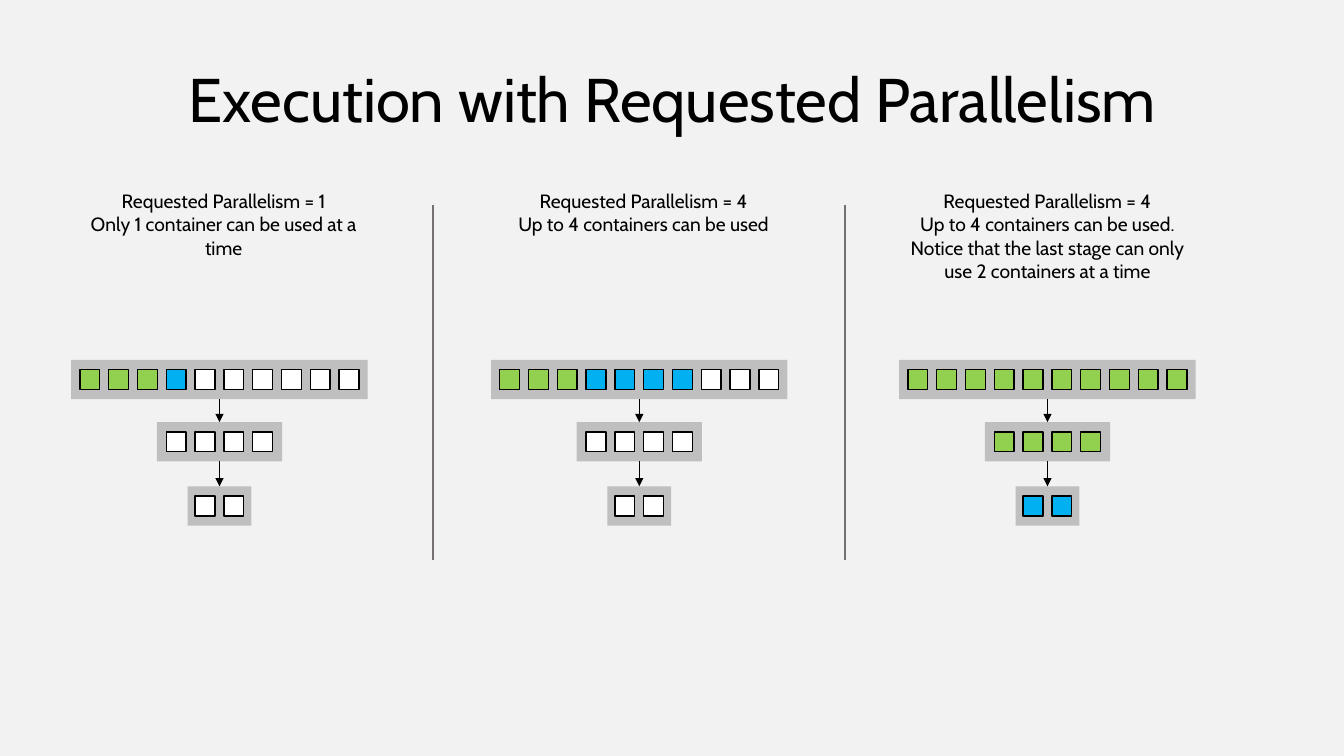
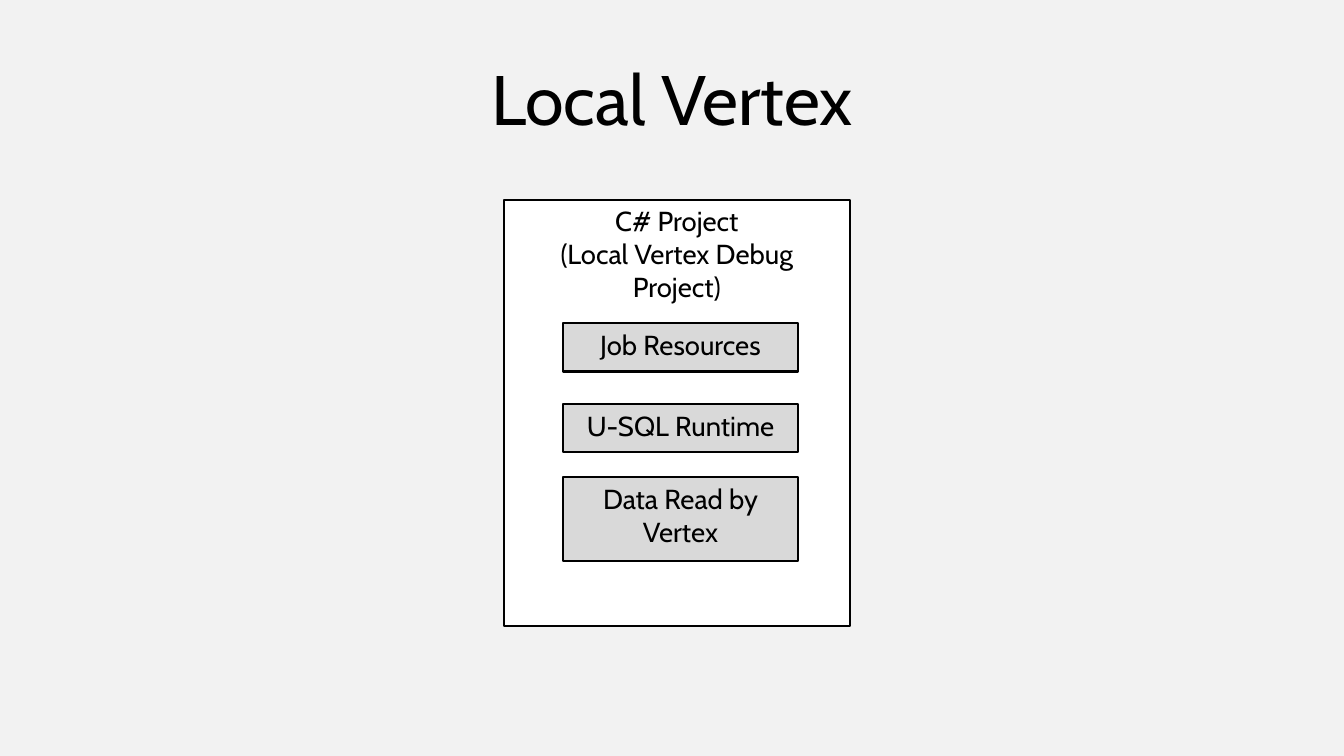
from dataclasses import dataclass

from lxml.etree import SubElement
from pptx import Presentation
from pptx.dml.color import RGBColor
from pptx.enum.shapes import MSO_CONNECTOR as Connector, MSO_SHAPE as Preset
from pptx.enum.text import MSO_ANCHOR as Anchor, PP_ALIGN as Align
from pptx.oxml.ns import qn
from pptx.util import Cm, Pt

# Shared style
FONT = "Cabin"
BLACK = RGBColor(0x00, 0x00, 0x00)
WHITE = RGBColor(0xFF, 0xFF, 0xFF)
BACKGROUND = RGBColor(0xF2, 0xF2, 0xF2)
STAGE_GRAY = RGBColor(0xBF, 0xBF, 0xBF)
PART_GRAY = RGBColor(0xD9, 0xD9, 0xD9)
DIVIDER_GRAY = RGBColor(0x76, 0x71, 0x71)
GREEN = RGBColor(0x92, 0xD0, 0x50)
BLUE = RGBColor(0x00, 0xB0, 0xF0)
STATE_COLORS = {"d": GREEN, "r": BLUE, "w": WHITE}  # done, running, waiting

# Stage diagram measures in cm
STAGE_TOPS = (9.25, 10.85, 12.5)
STAGE_WIDTHS = (7.62, 3.22, 1.64)
STAGE_HEIGHT = 1.01
VERTEX_SIZE = 0.51
VERTEX_PITCH = 0.74
CAPTION_TOP = 4.75
DIVIDER_TOP, DIVIDER_BOTTOM = 5.26, 14.38


@dataclass(frozen=True)
class Box:
    left: float
    top: float
    width: float
    height: float

    def lengths(self):
        return Cm(self.left), Cm(self.top), Cm(self.width), Cm(self.height)


@dataclass(frozen=True)
class Scenario:
    left: float
    caption_left: float
    caption: str
    stages: tuple[str, ...]  # one state letter per vertex


@dataclass(frozen=True)
class Part:
    text: str
    box: Box
    fill: RGBColor


TITLE_BOX = Box(0.53, 0.53, 33.48, 4.22)

SCENARIOS = (
    Scenario(1.83, 1.94,
             "Requested Parallelism = 1\nOnly 1 container can be used at a time",
             ("dddrwwwwww", "wwww", "ww")),
    Scenario(12.62, 12.73,
             "Requested Parallelism = 4\nUp to 4 containers can be used",
             ("dddrrrrwww", "wwww", "ww")),
    Scenario(23.11, 23.11,
             "Requested Parallelism = 4\nUp to 4 containers can be used. "
             "Notice that the last stage can only use 2 containers at a time",
             ("dddddddddd", "dddd", "rr")),
)
DIVIDERS = (11.13, 21.72)

PROJECT_PARTS = (
    Part("C# Project\n(Local Vertex Debug Project)", Box(12.95, 5.13, 8.89, 10.97), WHITE),
    Part("Job Resources", Box(14.48, 8.31, 6.02, 1.24), PART_GRAY),
    Part("U-SQL Runtime", Box(14.48, 10.39, 6.02, 1.24), PART_GRAY),
    Part("Data Read by Vertex", Box(14.48, 12.27, 6.02, 2.16), PART_GRAY),
)


def write_text(shape, text: str, size: float, anchor=Anchor.TOP, line_spacing=None) -> None:
    text_frame = shape.text_frame
    text_frame.text = text
    text_frame.word_wrap = True
    text_frame.vertical_anchor = anchor
    for paragraph in text_frame.paragraphs:
        paragraph.alignment = Align.CENTER
        paragraph.line_spacing = line_spacing
        for run in paragraph.runs:
            run.font.name = FONT
            run.font.size = Pt(size)
            run.font.color.rgb = BLACK


def add_text(slide, box: Box, text: str, size: float, **style) -> None:
    write_text(slide.shapes.add_textbox(*box.lengths()), text, size, **style)


def add_rectangle(slide, box: Box, fill: RGBColor, line_width: float = 0):
    shape = slide.shapes.add_shape(Preset.RECTANGLE, *box.lengths())
    shape.shadow.inherit = False
    shape.fill.solid()
    shape.fill.fore_color.rgb = fill
    if line_width:
        shape.line.color.rgb = BLACK
        shape.line.width = Pt(line_width)
    else:
        shape.line.fill.background()
    return shape


def add_line(slide, x: float, top: float, bottom: float, color: RGBColor, width: float):
    line = slide.shapes.add_connector(Connector.STRAIGHT, Cm(x), Cm(top), Cm(x), Cm(bottom))
    line.line.color.rgb = color
    line.line.width = Pt(width)
    SubElement(line._element.spPr, qn("a:effectLst"))
    return line


def add_arrow(slide, x: float, upper, lower) -> None:
    arrow = add_line(slide, x, upper.top.cm, lower.top.cm, BLACK, 0.5)
    arrow.begin_connect(upper, 2)
    arrow.end_connect(lower, 0)
    SubElement(arrow.line._get_or_add_ln(), qn("a:tailEnd"), type="triangle")


def add_stage(slide, center: float, top: float, width: float, states: str):
    stage = add_rectangle(slide, Box(center - width / 2, top, width, STAGE_HEIGHT), STAGE_GRAY)
    row_width = (len(states) - 1) * VERTEX_PITCH + VERTEX_SIZE
    vertex_top = top + (STAGE_HEIGHT - VERTEX_SIZE) / 2
    for index, state in enumerate(states):
        left = center - row_width / 2 + index * VERTEX_PITCH
        add_rectangle(slide, Box(left, vertex_top, VERTEX_SIZE, VERTEX_SIZE),
                      STATE_COLORS[state], 1)
    return stage


def add_scenario(slide, scenario: Scenario) -> None:
    add_text(slide, Box(scenario.caption_left, CAPTION_TOP, STAGE_WIDTHS[0], 1.8),
             scenario.caption, 14)
    center = scenario.left + STAGE_WIDTHS[0] / 2
    stages = [add_stage(slide, center, top, width, states)
              for top, width, states in zip(STAGE_TOPS, STAGE_WIDTHS, scenario.stages)]
    for upper, lower in zip(stages, stages[1:]):
        add_arrow(slide, center, upper, lower)


def add_titled_slide(presentation, title: str, size: float):
    slide = presentation.slides.add_slide(presentation.slide_layouts[6])
    slide.background.fill.solid()
    slide.background.fill.fore_color.rgb = BACKGROUND
    add_text(slide, TITLE_BOX, title, size, anchor=Anchor.MIDDLE, line_spacing=0.9)
    return slide


def main() -> None:
    presentation = Presentation()
    presentation.slide_width = Cm(34.54)
    presentation.slide_height = Cm(19.43)

    # Three scenarios side by side
    slide = add_titled_slide(presentation, "Execution with Requested Parallelism", 44.9)
    for x in DIVIDERS:
        add_line(slide, x, DIVIDER_TOP, DIVIDER_BOTTOM, DIVIDER_GRAY, 1.5)
    for scenario in SCENARIOS:
        add_scenario(slide, scenario)

    # Project and its parts
    slide = add_titled_slide(presentation, "Local Vertex", 51)
    for part in PROJECT_PARTS:
        write_text(add_rectangle(slide, part.box, part.fill, 1.5), part.text, 20)

    presentation.save("out.pptx")


if __name__ == "__main__":
    main()
